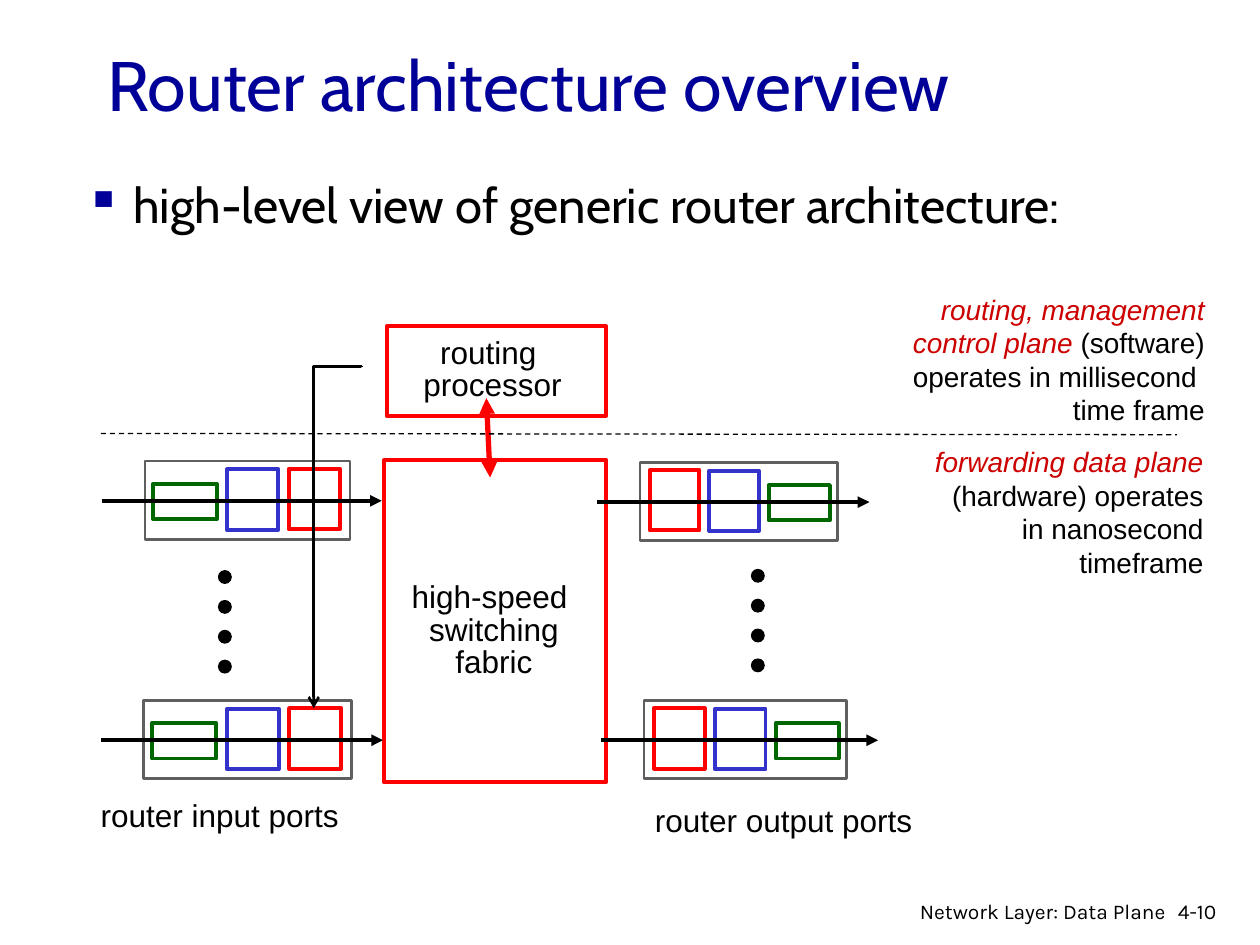
"""Build a slide that gives an overview of a router's architecture."""
from lxml.etree import SubElement
from pptx import Presentation
from pptx.dml.color import RGBColor
from pptx.enum.dml import MSO_LINE
from pptx.enum.shapes import MSO_CONNECTOR as LINK, MSO_SHAPE as SHAPE
from pptx.enum.text import MSO_ANCHOR, MSO_AUTO_SIZE, PP_ALIGN as ALIGN
from pptx.oxml.ns import qn
from pptx.util import Inches, Pt

NAVY = RGBColor(0x00, 0x00, 0x99)
BLACK = RGBColor(0x00, 0x00, 0x00)
WHITE = RGBColor(0xFF, 0xFF, 0xFF)
RED = RGBColor(0xFF, 0x00, 0x00)
CRIMSON = RGBColor(0xCC, 0x00, 0x00)
GREEN = RGBColor(0x00, 0x66, 0x00)
BLUE = RGBColor(0x33, 0x33, 0xCC)
GRAY = RGBColor(0x5F, 0x5F, 0x5F)
COLUMNS, ROWS = 100, 75


class Board:
    """Hold the style and the current slide, measured in grid columns and rows."""

    def __init__(self, deck):
        self.slide = deck.slides.add_slide(deck.slide_layouts[5])
        self.shapes = self.slide.shapes
        self.cell_width = deck.slide_width / COLUMNS
        self.cell_height = deck.slide_height / ROWS

    def place(self, column, row, width, height):
        """Turn grid units into lengths."""
        return (round(column * self.cell_width), round(row * self.cell_height),
                round(width * self.cell_width), round(height * self.cell_height))

    def set_lines(self, frame, lines, size, font="Arial", color=BLACK,
                  align=ALIGN.LEFT, spacing=1.0):
        """Set lines, each a string or a list of (text, emphasised) spans."""
        for index, line in enumerate(lines):
            para = frame.paragraphs[0] if index == 0 else frame.add_paragraph()
            para.alignment, para.line_spacing = align, spacing
            for text, emphasised in [(line, False)] if isinstance(line, str) else line:
                span = para.add_run()
                span.text = text
                span.font.name, span.font.size = font, Pt(size)
                span.font.color.rgb = CRIMSON if emphasised else color
                span.font.italic = emphasised

    def title(self, place, text):
        """Move and format the title placeholder."""
        title = self.shapes.title
        title.left, title.top, title.width, title.height = self.place(*place)
        title.text_frame.vertical_anchor = MSO_ANCHOR.MIDDLE
        self.set_lines(title.text_frame, [text], 40, "Cabin", NAVY)

    def text(self, place, lines, size=18, wrap=False, **style):
        """Add a text box and return its frame."""
        frame = self.shapes.add_textbox(*self.place(*place)).text_frame
        frame.word_wrap = wrap
        frame.auto_size = MSO_AUTO_SIZE.NONE if wrap else MSO_AUTO_SIZE.SHAPE_TO_FIT_TEXT
        self.set_lines(frame, lines, size, **style)
        return frame

    def bullet(self, place, text):
        """Add a bulleted statement."""
        frame = self.text(place, [text], 28, True, font="Cabin", spacing=0.85)
        properties = frame.paragraphs[0]._p.get_or_add_pPr()
        properties.set("marL", str(Inches(0.38)))
        properties.set("indent", str(-Inches(0.38)))
        color = SubElement(properties, qn("a:buClr"))
        SubElement(color, qn("a:srgbClr")).set("val", str(NAVY))
        SubElement(properties, qn("a:buChar")).set("char", "▪")

    def box(self, place, color, weight=2.25, kind=SHAPE.RECTANGLE, fill=WHITE):
        """Add an outlined shape."""
        box = self.shapes.add_shape(kind, *self.place(*place))
        box.shadow.inherit = False
        box.fill.solid()
        box.fill.fore_color.rgb = fill
        box.line.color.rgb, box.line.width = color, Pt(weight)
        return box

    def line(self, start, end, color=BLACK, weight=2.25, head=None, tail=None,
             kind=LINK.STRAIGHT):
        """Add a connector with optional arrowheads."""
        line = self.shapes.add_connector(kind, *self.place(*start, *end))
        line.line.color.rgb, line.line.width = color, Pt(weight)
        for tag, arrow in (("a:headEnd", head), ("a:tailEnd", tail)):
            if arrow:
                SubElement(line.line._get_or_add_ln(), qn(tag)).set("type", arrow)
        SubElement(line._element.spPr, qn("a:effectLst"))
        return line

    def port(self, column, row, width, mirrored=False):
        """Add a port: a frame, three stages and the packet path through them."""
        self.box((column, row, width, 6.2), GRAY, 1.5)
        stages = ((0.04, 0.31, 1.8, 2.8, GREEN),
                  (0.4, 0.25, 0.65, 4.8, BLUE),
                  (0.7, 0.25, 0.6, 4.8, RED))
        for offset, share, drop, height, color in stages:
            left = 1 - offset - share if mirrored else offset
            self.box((column + left * width, row + drop, share * width, height), color)
        middle = row + 3.15
        self.line((column - 3.4, middle), (column + width + 2.5, middle), tail="triangle")

    def dots(self, column, row):
        """Add a column of four dots that stands for further ports."""
        for index in range(4):
            self.box((column, row + 2.37 * index, 1, 1), BLACK, 0.75, SHAPE.OVAL, BLACK)

    def elbow(self, place):
        """Add a bent arrow that goes left and then down."""
        column, row, width, height = place
        left = column + (width - height) / 2
        top = row + (height - width) / 2
        arrow = self.line((left, top), (left + height, top + width),
                          weight=1.5, tail="arrow", kind=LINK.ELBOW)
        properties = arrow._element.spPr
        properties.find(qn("a:xfrm")).set("rot", "5400000")
        geometry = properties.find(qn("a:prstGeom"))
        values = geometry.find(qn("a:avLst"))
        if values is None:
            values = SubElement(geometry, qn("a:avLst"))
        guide = SubElement(values, qn("a:gd"))
        guide.set("name", "adj1")
        guide.set("fmla", "val -100")


def main():
    """Draw the router and save the deck."""
    deck = Presentation()
    deck.slide_width, deck.slide_height = Inches(10), Inches(7.5)
    board = Board(deck)
    board.title((7.5, 3.3, 85, 6.7), "Router architecture overview")
    board.bullet((5.8, 14.1, 85, 6.4), "high-level view of generic router architecture:")

    centred = {"align": ALIGN.CENTER, "spacing": 0.85}
    board.box((30.5, 36.5, 17.6, 25.6), RED)
    board.text((31.6, 45.8, 15.2, 8.7), ["high-speed ", "switching", "fabric"], **centred)
    board.box((30.7, 25.9, 17.4, 7.1), RED)
    board.text((32.6, 26.4, 13, 6.1), ["routing ", "processor"], **centred)
    board.line((38.6, 31.6), (38.9, 37.9), RED, 3, "triangle", "triangle")

    for column, row, width, mirrored in ((11.5, 36.6, 16.3, False),
                                         (11.4, 55.6, 16.5, False),
                                         (50.8, 36.7, 15.7, True),
                                         (51.1, 55.6, 16.1, True)):
        board.port(column, row, width, mirrored)
    board.dots(17.35, 45.3)
    board.dots(59.65, 45.2)
    board.text((7, 62.7, 20.9, 4), ["router input ports"])
    board.text((51, 63.1, 22.4, 4), ["router output ports"])

    divider = board.line((8, 34.4), (93.4, 34.5), weight=0.75)
    divider.line.dash_style = MSO_LINE.DASH
    right = {"wrap": True, "align": ALIGN.RIGHT}
    board.text((72.6, 34.8, 23.9, 11.8), [
        [("forwarding data plane ", True),
         ("(hardware) operates in nanosecond timeframe", False)]], 16, **right)
    board.text((65.1, 22.7, 31.5, 11.8), [
        [("routing, management", True)],
        [("control plane ", True), ("(software)", False)],
        "operates in millisecond ", "time frame"], 16, **right)
    board.elbow((24.9, 29.1, 3.8, 27.1))

    board.text((92.5, 70.8, 6.1, 3), ["4-10"], 12, True, font="Karla")
    board.text((69.7, 70.8, 23.8, 2.6), ["Network Layer: Data Plane"], 12,
               font="Karla", **right)
    deck.save("out.pptx")


if __name__ == "__main__":
    main()
